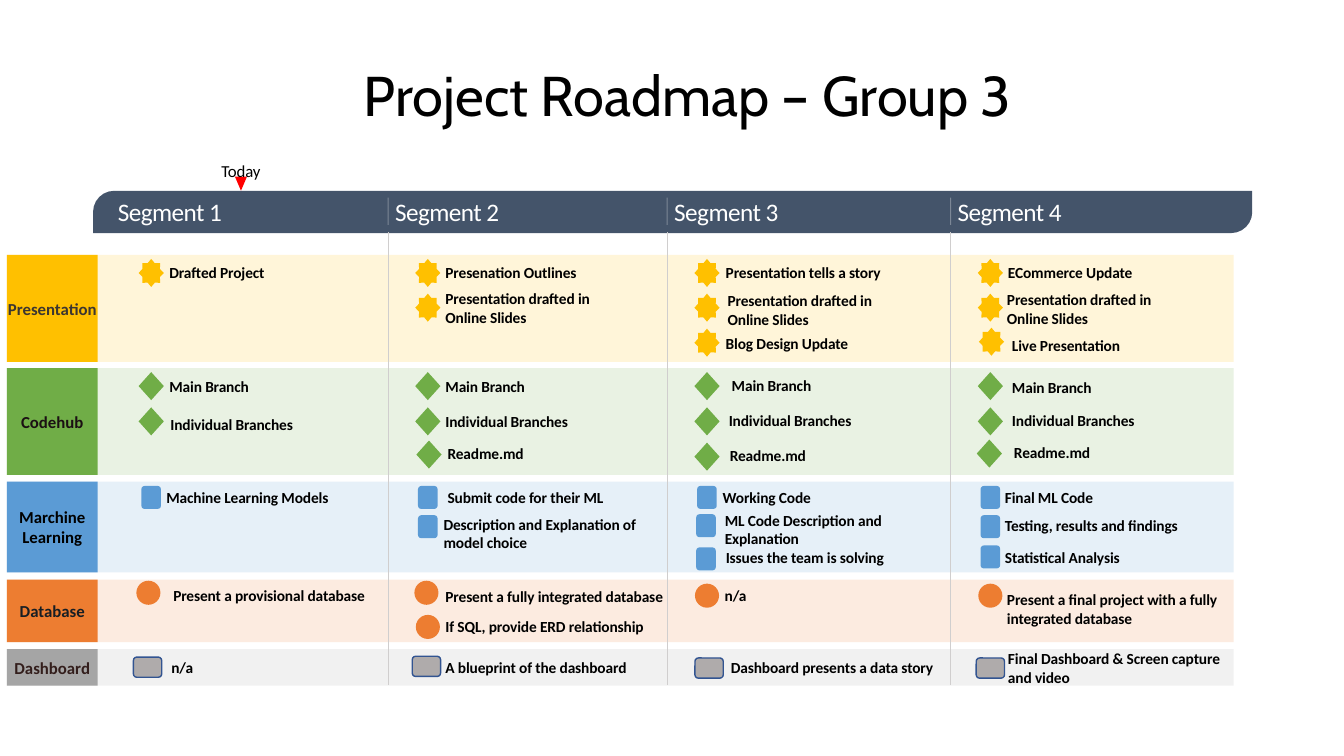
from dataclasses import dataclass
from pptx import Presentation
from pptx.dml.color import RGBColor
from pptx.enum.shapes import MSO_CONNECTOR, MSO_SHAPE
from pptx.enum.text import MSO_ANCHOR, PP_ALIGN
from pptx.oxml.ns import qn
from pptx.util import Pt
from lxml.etree import SubElement


@dataclass(frozen=True)
class Theme:
    head: str = "Cabin"
    body: str = "Calibri"
    title: int = 40
    seg: int = 18
    lane: int = 12
    note: int = 11
    ink: str = "000000"
    white: str = "FFFFFF"
    navy: str = "44546A"
    grid: str = "D0CECE"
    red: str = "FF0000"
    gold: str = "FFC000"
    green: str = "70AD47"
    blue: str = "5B9BD5"
    rust: str = "ED7D31"
    gray: str = "A5A5A5"
    tile: str = "AFABAB"
    edge: str = "325491"


class Board:
    def __init__(self, slide, theme):
        self.slide, self.theme = slide, theme

    def fade(self, fill, alpha):
        color = fill._xPr.find(qn("a:solidFill"))[0]
        SubElement(color, qn("a:alpha")).set("val", str(alpha * 1000))

    def shape(self, kind, x, y, w, h, color, alpha=None, edge=None):
        item = self.slide.shapes.add_shape(kind, Pt(x), Pt(y), Pt(w), Pt(h))
        item.shadow.inherit = False
        item.fill.solid()
        item.fill.fore_color.rgb = RGBColor.from_string(color)
        if alpha:
            self.fade(item.fill, alpha)
        if edge:
            item.line.color.rgb = RGBColor.from_string(edge)
            item.line.width = Pt(1)
        else:
            item.line.fill.background()
        return item

    def line(self, x, top, end, color, alpha=None):
        item = self.slide.shapes.add_connector(
            MSO_CONNECTOR.STRAIGHT, Pt(x), Pt(top), Pt(x), Pt(end))
        item.line.color.rgb = RGBColor.from_string(color)
        item.line.width = Pt(0.75)
        SubElement(item._element.spPr, qn("a:effectLst"))
        if alpha:
            self.fade(item.line.fill, alpha)

    def text(self, words, x, mid, w, size, color=None, bold=False,
             align=PP_ALIGN.LEFT, font=None, space=0, h=14):
        box = self.slide.shapes.add_textbox(Pt(x), Pt(mid - h / 2), Pt(w), Pt(h))
        frame = box.text_frame
        frame.text = words
        frame.word_wrap = True
        frame.vertical_anchor = MSO_ANCHOR.MIDDLE
        frame.margin_left = frame.margin_right = 0
        frame.margin_top = frame.margin_bottom = 0
        part = frame.paragraphs[0]
        part.alignment = align
        for run in part.runs:
            run.font.name = font or self.theme.body
            run.font.size = Pt(size)
            run.font.bold = bold
            run.font.color.rgb = RGBColor.from_string(color or self.theme.ink)
            if space:
                run.font._element.set("spc", str(space))


theme = Theme()
deck = Presentation()
deck.slide_width, deck.slide_height = Pt(960), Pt(540)
board = Board(deck.slides.add_slide(deck.slide_layouts[6]), theme)

LEFT, WIDE, TAB = 5, 876.2, 64.8
COLS = (108, 305.6, 505, 707.4)
CUTS = (277.2, 476.6, 679)
DRAFT = "Presentation drafted in Online Slides"

# Lanes: name, ink, top, height, color, mark kind, mark size, note width, notes
# Notes: column, mark nudge, mark middle, text left, text middle, words
LANES = (
    ("Presentation", "3C3631", 182.1, 76.4, theme.gold,
     MSO_SHAPE.STAR_8_POINT, (18, 20), 127, (
         (0, 0, 195, 121, 194.8, "Drafted Project"),
         (1, 0, 195, 318.2, 194.8, "Presenation Outlines"),
         (1, 0, 219.8, 318.2, 220, DRAFT),
         (2, 0, 195, 518.4, 194.8, "Presentation tells a story"),
         (2, 0, 219.8, 519.8, 221.4, DRAFT),
         (2, 0, 244.8, 518.4, 245.2, "Blog Design Update"),
         (3, 0, 195, 720, 194.8, "ECommerce Update"),
         (3, 0, 219.8, 719.3, 220.7, DRAFT),
         (3, 0.8, 244.1, 722.9, 246.6, "Live Presentation"))),
    ("Codehub", "1B1013", 262.9, 76.4, theme.green,
     MSO_SHAPE.DIAMOND, (18, 20), 127, (
         (0, 0, 275.8, 121, 276.1, "Main Branch"),
         (0, 0, 301, 121.7, 302.8, "Individual Branches"),
         (1, 0, 275.8, 318.2, 276.1, "Main Branch"),
         (1, 0, 301, 318.2, 301.3, "Individual Branches"),
         (1, 0.8, 324.7, 319.7, 323.6, "Readme.md"),
         (2, 0, 275.8, 522.7, 275.4, "Main Branch"),
         (2, 0, 301, 520.6, 300.6, "Individual Branches"),
         (2, 0, 326.2, 521.3, 325.1, "Readme.md"),
         (3, 0, 275.8, 722.9, 276.8, "Main Branch"),
         (3, 0, 301, 722.9, 300.6, "Individual Branches"),
         (3, -0.7, 324, 724.3, 322.9, "Readme.md"))),
    ("Marchine Learning", theme.ink, 344, 64.8, theme.blue,
     MSO_SHAPE.ROUNDED_RECTANGLE, (14, 16.4), 156, (
         (0, 0, 355.3, 118.8, 355.3, "Machine Learning Models"),
         (1, 0, 355.3, 319.7, 355.3, "Submit code for their ML"),
         (1, 0, 376.2, 316.8, 381, "Description and Explanation of model choice"),
         (2, 0, 355.3, 516.2, 355.3, "Working Code"),
         (2, -0.7, 375.5, 517.7, 378, "ML Code Description and Explanation"),
         (2, -0.7, 399.2, 518.4, 398.2, "Issues the team is solving"),
         (3, 0, 355.3, 717.8, 355.3, "Final ML Code"),
         (3, 0, 376.2, 717.8, 375.5, "Testing, results and findings"),
         (3, 0, 397.8, 717.8, 397.8, "Statistical Analysis"))),
    ("Database", "171E24", 414, 44.8, theme.rust,
     MSO_SHAPE.OVAL, (17.2, 17.2), 161, (
         (0, -2, 423.4, 123.8, 425.2, "Present a provisional database"),
         (1, -1, 423.4, 318.2, 425.9, "Present a fully integrated database"),
         (1, 0, 447.8, 318.2, 447.5, "If SQL, provide ERD relationship"),
         (2, 0, 425.5, 517.7, 425.2, "n/a"),
         (3, 0, 425.5, 719.3, 434.9,
          "Present a final project with a fully integrated database"))),
    ("Dashboard", "331E1C", 463.7, 26, theme.gray,
     MSO_SHAPE.ROUNDED_RECTANGLE, (20.2, 14.4), 165, (
         (0, -2.6, 476.6, 122.4, 477, "n/a"),
         (1, -1, 476, 318.2, 477, "A blueprint of the dashboard"),
         (2, 1.5, 477.2, 522, 477, "Dashboard presents a data story"),
         (3, 0, 477.2, 720, 477, "Final Dashboard & Screen capture and video"))),
)

# Title and today marker
board.text("Project Roadmap – Group 3", 260, 67, 501, theme.title,
           font=theme.head, h=48)
flag = board.shape(MSO_SHAPE.ISOSCELES_TRIANGLE, 167.8, 126.2, 8.6, 10, theme.red)
flag.rotation = 180
board.text("Today", 142.1, 122, 60, theme.lane, align=PP_ALIGN.CENTER, space=-10)

# Segment header
bar = board.shape(MSO_SHAPE.ROUND_2_DIAG_RECTANGLE, 66.5, 136.3, 828, 30.2, theme.navy)
bar.adjustments[0], bar.adjustments[1] = 1, 0
for num, x in enumerate((84.2, *(cut + 5 for cut in CUTS)), 1):
    board.text(f"Segment {num}", x, 151.2, 120, theme.seg, theme.white,
               space=-40, h=20)

# Lane bands and tabs
for name, ink, top, high, color, *_ in LANES:
    board.shape(MSO_SHAPE.RECTANGLE, LEFT, top, WIDE, high, color, alpha=15)
    board.shape(MSO_SHAPE.RECTANGLE, LEFT, top, TAB, high, color)
    board.text(name, LEFT, top + high / 2, TAB, theme.lane, ink, True,
               PP_ALIGN.CENTER)

# Segment dividers
for cut in CUTS:
    board.line(cut, 165.8, 489.6, theme.grid)
    board.line(cut, 141.1, 160.6, theme.white, alpha=30)

# Marks and notes
for name, _, _, _, color, kind, (w, h), wide, notes in LANES:
    last = name == "Dashboard"
    for col, nudge, y, left, mid, words in notes:
        board.shape(kind, COLS[col] + nudge - w / 2, y - h / 2, w, h,
                    theme.tile if last else color,
                    edge=theme.edge if last else None)
        board.text(words, left, mid, wide, theme.note, bold=True, space=-10)

deck.save("out.pptx")
